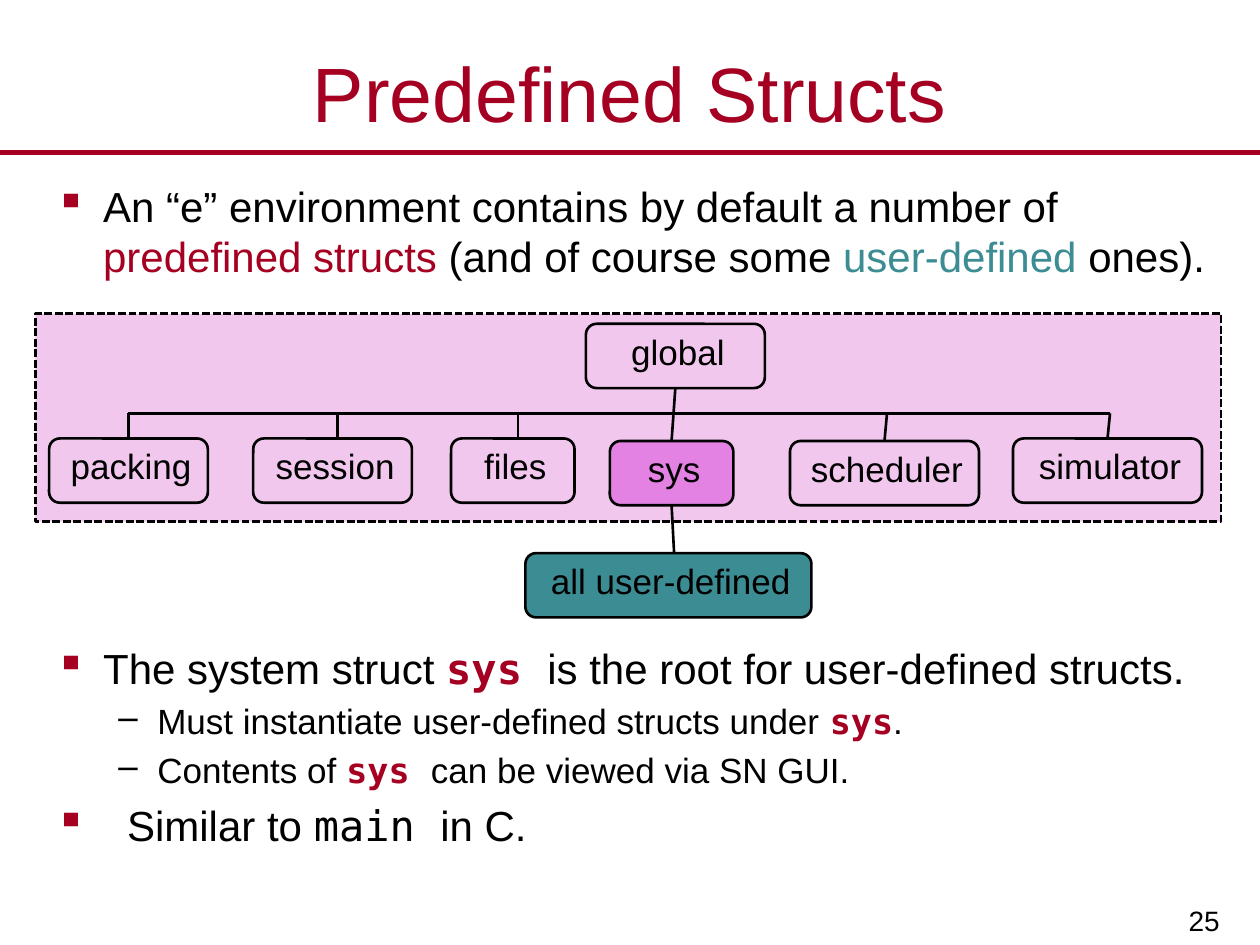
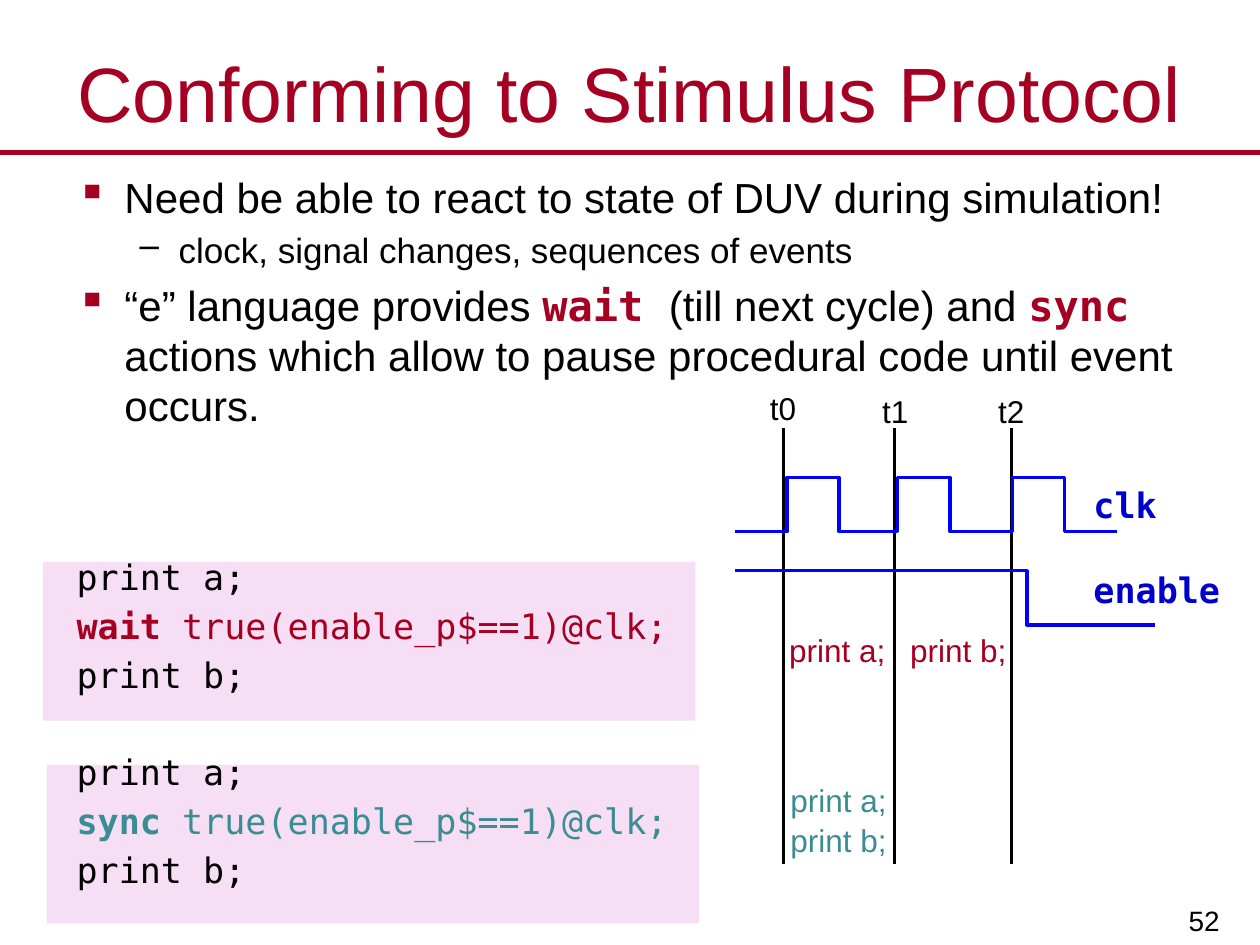
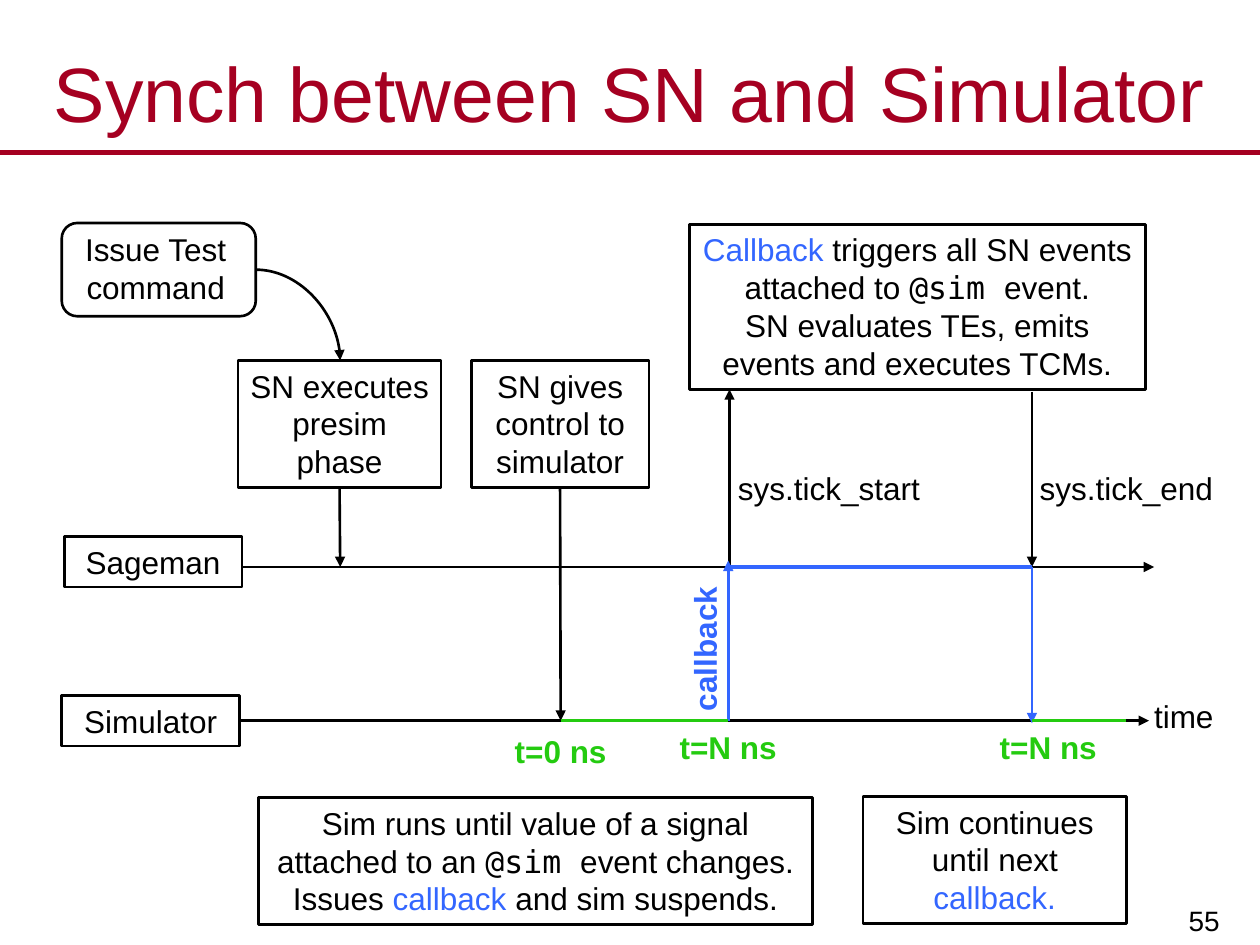
from dataclasses import dataclass
from typing import NamedTuple, Optional

from lxml.etree import SubElement
from pptx import Presentation
from pptx.dml.color import RGBColor
from pptx.enum.dml import MSO_LINE_DASH_STYLE as Dash
from pptx.enum.shapes import MSO_AUTO_SHAPE_TYPE as Shape, MSO_CONNECTOR as Link
from pptx.enum.text import MSO_VERTICAL_ANCHOR as Anchor, PP_PARAGRAPH_ALIGNMENT as Align
from pptx.oxml.ns import qn
from pptx.util import Inches, Pt

# Shared style
BLACK = RGBColor(0x00, 0x00, 0x00)
CRIMSON = RGBColor(0xA5, 0x00, 0x21)
TEAL = RGBColor(0x3C, 0x8C, 0x93)
PINK = RGBColor(0xF1, 0xC7, 0xEE)
ORCHID = RGBColor(0xE4, 0x82, 0xE3)
SIGNAL_BLUE = RGBColor(0x00, 0x00, 0xFF)
NAVY = RGBColor(0x00, 0x00, 0xCC)
SKY = RGBColor(0x33, 0x66, 0xFF)
GREEN = RGBColor(0x24, 0xCB, 0x10)
SANS, MONO = "Arial", "DejaVu Sans Mono"
THIN, THICK = 1.5, 2


class Span(NamedTuple):
    text: str
    color: RGBColor = BLACK
    font: str = SANS
    bold: bool = False


class Box(NamedTuple):
    left: float
    top: float
    width: float
    height: float

    def lengths(self) -> list:
        return [Inches(side) for side in self]


class BulletStyle(NamedTuple):
    char: str
    color: RGBColor
    size: int
    margin: float
    hanging: float


BULLETS = (BulletStyle("▪", CRIMSON, 24, 0.38, 0.38),
           BulletStyle("–", BLACK, 20, 0.81, 0.31))


@dataclass
class Point:
    spans: list
    level: int = 0
    extra_indent: float = 0


@dataclass
class Struct:
    name: str
    box: Box
    fill: Optional[RGBColor] = None
    drop_x: Optional[float] = None


@dataclass
class Caption:
    text: str
    box: Box
    color: RGBColor = BLACK
    bold: bool = False


@dataclass
class Arrow:
    start: tuple
    end: tuple
    color: RGBColor = BLACK
    weight: float = THIN
    arrow: bool = True
    source: Optional[str] = None


def keyword(text: str, color: RGBColor = CRIMSON) -> Span:
    return Span(text, color, MONO, True)


# Text
def write(paragraph, spans: list, size: float, align=Align.LEFT) -> None:
    paragraph.alignment = align
    for span in spans:
        run = paragraph.add_run()
        run.text = span.text
        run.font.name = span.font
        run.font.size = Pt(size)
        run.font.bold = span.bold
        run.font.color.rgb = span.color


def set_frame(frame, anchor=Anchor.TOP, side: float = 0.1, edge: float = 0.05) -> None:
    frame.word_wrap = True
    frame.vertical_anchor = anchor
    frame.margin_left = frame.margin_right = Inches(side)
    frame.margin_top = frame.margin_bottom = Inches(edge)


def add_paragraphs(frame, count: int) -> list:
    return [frame.paragraphs[0]] + [frame.add_paragraph() for _ in range(count - 1)]


def add_text(slide, box: Box, lines: list, size: float, align=Align.CENTER,
             anchor=Anchor.TOP, side: float = 0.1, edge: float = 0.05,
             gap: float = 0):
    text_box = slide.shapes.add_textbox(*box.lengths())
    frame = text_box.text_frame
    set_frame(frame, anchor, side, edge)
    for index, paragraph in enumerate(add_paragraphs(frame, len(lines))):
        if index:
            paragraph.space_before = Pt(gap)
        write(paragraph, lines[index], size, align)
    return text_box


def add_caption(slide, caption: Caption, size: float = 18):
    span = Span(caption.text, caption.color, SANS, caption.bold)
    return add_text(slide, caption.box, [[span]], size)


def add_points(slide, box: Box, points: list) -> None:
    frame = slide.shapes.add_textbox(*box.lengths()).text_frame
    set_frame(frame)
    for index, paragraph in enumerate(add_paragraphs(frame, len(points))):
        point = points[index]
        style = BULLETS[point.level]
        paragraph.level = point.level
        properties = paragraph._p.get_or_add_pPr()
        properties.set("marL", str(Inches(style.margin + point.extra_indent)))
        properties.set("indent", str(-Inches(style.hanging + point.extra_indent)))
        color = SubElement(properties, qn("a:buClr"))
        SubElement(color, qn("a:srgbClr"), val=str(style.color))
        SubElement(properties, qn("a:buChar"), char=style.char)
        if index:
            paragraph.space_before = Pt(style.size * 0.2)
        write(paragraph, point.spans, style.size)


# Shapes and lines
def add_block(slide, kind, box: Box, fill: Optional[RGBColor] = None,
              outlined: bool = True):
    block = slide.shapes.add_shape(kind, *box.lengths())
    block.shadow.inherit = False
    if fill is None:
        block.fill.background()
    else:
        block.fill.solid()
        block.fill.fore_color.rgb = fill
    if outlined:
        block.line.color.rgb = BLACK
        block.line.width = Pt(THIN)
    else:
        block.line.fill.background()
    return block


def add_note(slide, box: Box, lines: list):
    note = add_block(slide, Shape.RECTANGLE, box)
    set_frame(note.text_frame, side=0.08)
    for paragraph, spans in zip(add_paragraphs(note.text_frame, len(lines)), lines):
        write(paragraph, spans, 18, Align.CENTER)
    return note


def add_line(slide, start: tuple, end: tuple, color: RGBColor = BLACK,
             weight: float = THIN, arrow: bool = False, kind=Link.STRAIGHT):
    line = slide.shapes.add_connector(kind, *[Inches(v) for v in (*start, *end)])
    line.line.color.rgb = color
    line.line.width = Pt(weight)
    if arrow:
        SubElement(line.line._get_or_add_ln(), qn("a:tailEnd"), type="triangle")
    SubElement(line._element.spPr, qn("a:effectLst"))
    return line


def start_slide(deck, title: str, number: int):
    slide = deck.slides.add_slide(deck.slide_layouts[6])
    add_line(slide, (0, 1.21), (10, 1.21), CRIMSON, 3)
    add_text(slide, Box(7.8, 6.93, 1.99, 0.57), [[Span(str(number))]], 16,
             Align.RIGHT, Anchor.BOTTOM, 0.11, 0.06)
    add_text(slide, Box(0, 0.3, 10, 0.86), [[Span(title, CRIMSON)]], 44,
             anchor=Anchor.MIDDLE)
    return slide


# Slide: struct tree
def build_structs(deck) -> None:
    slide = start_slide(deck, "Predefined Structs", 25)
    add_points(slide, Box(0.34, 1.38, 9.38, 0.95), [
        Point([Span("An “e” environment contains by default a number of "),
               Span("predefined structs ", CRIMSON),
               Span("(and of course some "),
               Span("user-defined ", TEAL), Span("ones).")])])
    add_points(slide, Box(0.34, 5.05, 9.38, 1.85), [
        Point([Span("The system struct "), keyword("sys "),
               Span("is the root for user-defined structs.")]),
        Point([Span("Must instantiate user-defined structs under "),
               keyword("sys"), Span(".")], 1),
        Point([Span("Contents of "), keyword("sys "),
               Span("can be viewed via SN GUI.")], 1),
        Point([Span("Similar to "), Span("main ", font=MONO), Span("in C.")],
              extra_indent=0.19)])

    frame = add_block(slide, Shape.RECTANGLE, Box(0.28, 2.49, 9.41, 1.65), PINK)
    frame.line.dash_style = Dash.SQUARE_DOT

    bus_y = 3.28
    structs = [
        Struct("global", Box(4.65, 2.57, 1.42, 0.51)),
        Struct("packing", Box(0.39, 3.48, 1.26, 0.51), drop_x=1.02),
        Struct("session", Box(2.01, 3.48, 1.26, 0.51), drop_x=2.68),
        Struct("files", Box(3.58, 3.48, 0.98, 0.51), drop_x=4.11),
        Struct("sys", Box(4.84, 3.5, 0.98, 0.51), ORCHID),
        Struct("scheduler", Box(6.27, 3.5, 1.5, 0.51), drop_x=7.04),
        Struct("simulator", Box(8.04, 3.48, 1.5, 0.51), drop_x=8.81),
        Struct("all user-defined", Box(4.17, 4.39, 2.27, 0.51), TEAL),
    ]
    blocks = {}
    for struct in structs:
        left, top, width, _ = struct.box
        blocks[struct.name] = add_block(slide, Shape.ROUNDED_RECTANGLE,
                                        struct.box, struct.fill)
        label_box = Box(left + 0.04, top, width - 0.04, 0.44)
        add_caption(slide, Caption(struct.name, label_box), 20)

    # Bus, its drops and the trunk
    drops = [struct for struct in structs if struct.drop_x]
    add_line(slide, (drops[0].drop_x, bus_y), (drops[-1].drop_x, bus_y))
    for struct in drops:
        drop = add_line(slide, (struct.drop_x, bus_y), (struct.drop_x, struct.box.top))
        if abs(struct.box.left + struct.box.width / 2 - struct.drop_x) < 0.03:
            drop.end_connect(blocks[struct.name], 0)
    trunk = add_line(slide, (5.36, 3.08), (5.33, 3.5))
    trunk.begin_connect(blocks["global"], 2)
    trunk.end_connect(blocks["sys"], 0)
    branch = add_line(slide, (5.33, 4.01), (5.35, 4.39))
    branch.begin_connect(blocks["sys"], 2)


# Slide: wait and sync with timing diagram
def build_protocol(deck) -> None:
    slide = start_slide(deck, "Conforming to Stimulus Protocol", 52)
    add_points(slide, Box(0.51, 1.31, 9, 2.2), [
        Point([Span("Need be able to react to state of DUV during simulation!")]),
        Point([Span("clock, signal changes, sequences of events")], 1),
        Point([Span("“e” language provides "), keyword("wait "),
               Span("(till next cycle) and "), keyword("sync "),
               Span("actions which allow to pause procedural code "
                    "until event occurs.")])])

    # Code panels
    listings = (("wait ", CRIMSON, 0.34, 4.46, 4.36),
                ("sync ", TEAL, 0.37, 6.07, 5.91))
    for action, color, left, panel_top, code_top in listings:
        panel = add_block(slide, Shape.RECTANGLE, Box(left, panel_top, 5.18, 1.26),
                          PINK, outlined=False)
        tint = panel._element.spPr.find(qn("a:solidFill"))[0]
        SubElement(tint, qn("a:alpha"), val="58000")
        add_text(slide, Box(0.51, code_top, 5.4, 1.25), [
            [Span("print a;", font=MONO)],
            [keyword(action, color), Span("true(enable_p$==1)@clk;", color, MONO)],
            [Span("print b;", font=MONO)]], 20, Align.LEFT, gap=4)

    # Time marks
    for x in (6.22, 7.1, 8.03):
        add_line(slide, (x, 3.4), (x, 6.86))

    # Clock pulses and the enable signal
    high, low, half = 3.79, 4.22, 0.83
    for left in (5.83, 6.71, 7.62):
        middle = left + half / 2
        for start in (left, left + 1.5 * half):
            end = middle if start > middle else left + half
            add_line(slide, (start, low), (end, high), SIGNAL_BLUE, THICK,
                     kind=Link.ELBOW)
    enable = add_line(slide, (5.83, 4.53), (9.17, 4.96), SIGNAL_BLUE, THICK,
                      kind=Link.ELBOW)
    geometry = enable._element.spPr.find(qn("a:prstGeom"))
    adjustments = geometry.find(qn("a:avLst"))
    if adjustments is None:
        adjustments = SubElement(geometry, qn("a:avLst"))
    SubElement(adjustments, qn("a:gd"), name="adj1", fmla="val 69500")

    for caption in (
            Caption("t0", Box(5.99, 3.04, 0.45, 0.4)),
            Caption("t1", Box(6.88, 3.06, 0.45, 0.4)),
            Caption("t2", Box(7.8, 3.06, 0.45, 0.4)),
            Caption("print a;", Box(6.09, 4.96, 1.11, 0.4), CRIMSON),
            Caption("print b;", Box(7.05, 4.96, 1.11, 0.4), CRIMSON),
            Caption("print a;", Box(6.1, 6.15, 1.11, 0.4), TEAL),
            Caption("print b;", Box(6.1, 6.47, 1.11, 0.4), TEAL)):
        add_caption(slide, caption)
    for signal, top in (("clk", 3.79), ("enable", 4.46)):
        add_text(slide, Box(8.58, top, 1.42, 0.44), [[keyword(signal, NAVY)]], 20,
                 Align.LEFT)


# Slide: timelines of the two tools
def build_synch(deck) -> None:
    slide = start_slide(deck, "Synch between SN and Simulator", 55)
    sim_event = Span("@sim ", font=MONO)
    notes = {
        "tool": (Box(0.51, 4.26, 1.41, 0.4), [[Span("Sageman")]]),
        "simulator": (Box(0.49, 5.52, 1.41, 0.4), [[Span("Simulator")]]),
        "presim": (Box(1.89, 2.86, 1.61, 1.01), [[Span("SN executes presim phase")]]),
        "control": (Box(3.74, 2.86, 1.41, 1.01),
                    [[Span("SN gives control to simulator")]]),
        "run": (Box(2.05, 6.33, 4.4, 1.01), [[
            Span("Sim runs until value of a signal attached to an "), sim_event,
            Span("event changes. Issues "), Span("callback ", SKY),
            Span("and sim suspends.")]]),
        "continue": (Box(6.85, 6.32, 2.09, 1.01), [[
            Span("Sim continues until next "), Span("callback.", SKY)]]),
        "events": (Box(5.47, 1.78, 3.62, 1.31), [
            [Span("Callback", SKY), Span(" triggers all SN events attached to "),
             sim_event, Span("event.")],
            [Span("SN evaluates TEs, emits events and executes TCMs.")]]),
    }
    blocks = {key: add_note(slide, box, lines) for key, (box, lines) in notes.items()}

    callback = add_caption(slide, Caption("callback", Box(4.82, 4.95, 1.54, 0.4),
                                          SKY, True))
    callback.rotation = 270
    add_block(slide, Shape.ROUNDED_RECTANGLE, Box(0.49, 1.77, 1.54, 0.74))
    for caption in (
            Caption("Issue Test command", Box(0.54, 1.78, 1.39, 0.71)),
            Caption("sys.tick_start", Box(5.71, 3.67, 1.74, 0.4)),
            Caption("sys.tick_end", Box(8.07, 3.67, 1.74, 0.4)),
            Caption("t=0 ns", Box(3.93, 5.76, 1.04, 0.4), GREEN, True),
            Caption("t=N ns", Box(5.26, 5.73, 1.04, 0.4), GREEN, True),
            Caption("t=N ns", Box(7.8, 5.73, 1.04, 0.4), GREEN, True),
            Caption("time", Box(9.02, 5.48, 0.75, 0.4))):
        add_caption(slide, caption)

    # Curve from the command to the presim phase
    curve = add_line(slide, (2.03, 2.14), (2.7, 2.86), arrow=True, kind=Link.CURVE)
    curve._element.spPr.find(qn("a:prstGeom")).set("prst", "curvedConnector2")

    # Timelines, hand-overs and the coloured stretches
    tool_y, sim_y = 4.5, 5.72
    go, tick, resume = 4.45, 5.79, 8.19
    for arrow in (
            Arrow((1.9, sim_y), (9.12, sim_y), source="simulator"),
            Arrow((1.93, tool_y), (9.16, tool_y)),
            Arrow((2.7, 3.87), (2.7, tool_y), source="presim"),
            Arrow((go, 3.87), (go, sim_y), source="control"),
            Arrow((tick, tool_y), (tick, 3.09)),
            Arrow((5.78, sim_y), (5.78, 4.45), SKY),
            Arrow((resume, 3.11), (resume, tool_y)),
            Arrow((resume, tool_y), (resume, 5.74), SKY),
            Arrow((tick, tool_y), (resume, tool_y), SKY, THICK, False),
            Arrow((go, sim_y), (5.78, sim_y), GREEN, THICK, False),
            Arrow((resume, sim_y), (8.94, sim_y), GREEN, THICK, False)):
        line = add_line(slide, arrow.start, arrow.end, arrow.color, arrow.weight,
                        arrow.arrow)
        if arrow.source:
            is_level = arrow.start[1] == arrow.end[1]
            line.begin_connect(blocks[arrow.source], 3 if is_level else 2)


def main() -> None:
    deck = Presentation()
    deck.slide_width, deck.slide_height = Inches(10), Inches(7.5)
    build_structs(deck)
    build_protocol(deck)
    build_synch(deck)
    deck.save("out.pptx")


if __name__ == "__main__":
    main()
